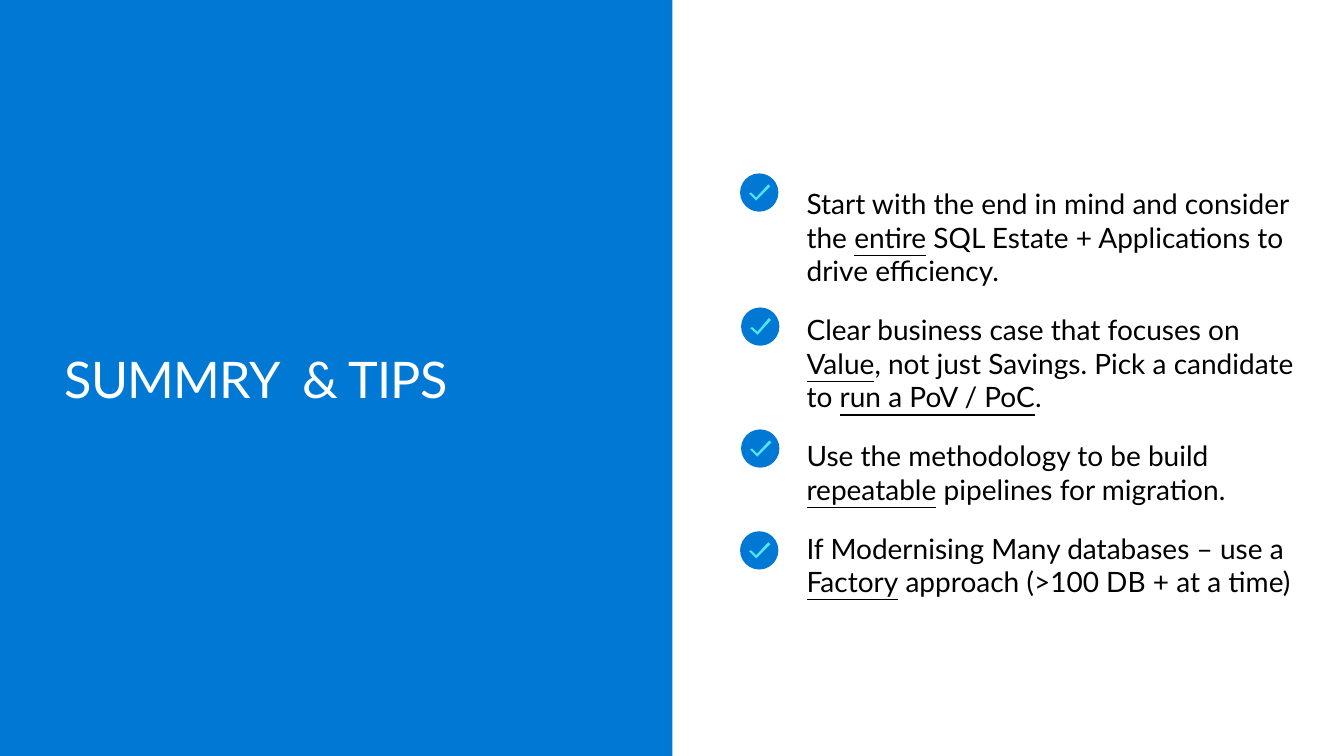
from dataclasses import dataclass

from pptx import Presentation
from pptx.dml.color import RGBColor
from pptx.enum.shapes import MSO_SHAPE
from pptx.enum.text import MSO_ANCHOR
from pptx.util import Pt

RECT, OVAL = MSO_SHAPE.RECTANGLE, MSO_SHAPE.OVAL
TOP, MIDDLE = MSO_ANCHOR.TOP, MSO_ANCHOR.MIDDLE
PX = 9144  # EMU per px, 100 px to the inch


@dataclass(frozen=True)
class Theme:
    blue: RGBColor = RGBColor(0x00, 0x78, 0xD4)
    cyan: RGBColor = RGBColor(0x50, 0xE6, 0xFF)
    white: RGBColor = RGBColor(0xFF, 0xFF, 0xFF)
    black: RGBColor = RGBColor(0x00, 0x00, 0x00)
    font: str = "Lato"
    title_size: int = 36
    tip_size: int = 20
    tip_gap: int = 18


THEME = Theme()
TITLE = "SUMMRY  & TIPS"

# Each tip alternates plain and underlined pieces, starting with plain
TIPS = [
    ["Start with the end in mind and consider the ", "entire",
     " SQL Estate + Applications to drive efficiency."],
    ["Clear business case that focuses on ", "Value",
     ", not just Savings. Pick a candidate to ", "run a PoV / PoC", "."],
    ["Use the methodology to be build ", "repeatable",
     " pipelines for migration."],
    ["If Modernising Many databases – use a ", "Factory",
     " approach (>100 DB + at a time)"],
]

# Left, top and rotation of each badge
BADGES = [(734, 172, 0), (735, 305, -3), (735, 426, 0), (734, 527, 0)]
BADGE_SIZE = 38
TICK = [(16, 24), (11, 19), (9, 20), (16, 27), (30, 13), (28, 11)]


def px(*lengths):
    return [n * PX for n in lengths]


def paint(sp, color):
    sp.shadow.inherit = False
    sp.fill.solid()
    sp.fill.fore_color.rgb = color
    sp.line.fill.background()


def add_block(shapes, kind, box, color):
    sp = shapes.add_shape(kind, *px(*box))
    paint(sp, color)


def add_text_frame(slide, box, anchor):
    tf = slide.shapes.add_textbox(*px(*box)).text_frame
    tf.word_wrap = True
    tf.vertical_anchor = anchor
    tf.margin_left = tf.margin_top = tf.margin_right = tf.margin_bottom = 0
    return tf


def style(p, size, color):
    p.font.name = THEME.font
    p.font.size = Pt(size)
    p.font.color.rgb = color


def add_title(slide, box):
    p = add_text_frame(slide, box, MIDDLE).paragraphs[0]
    r = p.add_run()
    r.text = TITLE
    r._r.get_or_add_rPr().set("spc", "-50")
    style(p, THEME.title_size, THEME.white)


def add_tips(slide, box):
    tf = add_text_frame(slide, box, TOP)
    for i, pieces in enumerate(TIPS):
        p = tf.add_paragraph() if i else tf.paragraphs[0]
        p.space_before = Pt(THEME.tip_gap if i else 0)
        for j, piece in enumerate(pieces):
            r = p.add_run()
            r.text = piece
            if j % 2:
                r.font.underline = True
        style(p, THEME.tip_size, THEME.black)


def add_badge(slide, left, top, rotation):
    shapes = slide.shapes.add_group_shape().shapes
    add_block(shapes, OVAL, (left, top, BADGE_SIZE, BADGE_SIZE), THEME.blue)
    points = [(left + x, top + y) for x, y in TICK]
    outline = shapes.build_freeform(*points[0], scale=PX)
    outline.add_line_segments(points[1:], close=True)
    tick = outline.convert_to_shape()
    tick.rotation = rotation
    paint(tick, THEME.cyan)


def main():
    prs = Presentation()
    prs.slide_width, prs.slide_height = px(1333, 750)
    slide = prs.slides.add_slide(prs.slide_layouts[6])

    # Title panel
    add_block(slide.shapes, RECT, (0, 0, 667, 750), THEME.blue)
    add_title(slide, (64, 345, 563, 61))

    # Tips with their check badges
    add_tips(slide, (800, 185, 500, 408))
    for badge in BADGES:
        add_badge(slide, *badge)

    prs.save("out.pptx")


if __name__ == "__main__":
    main()
